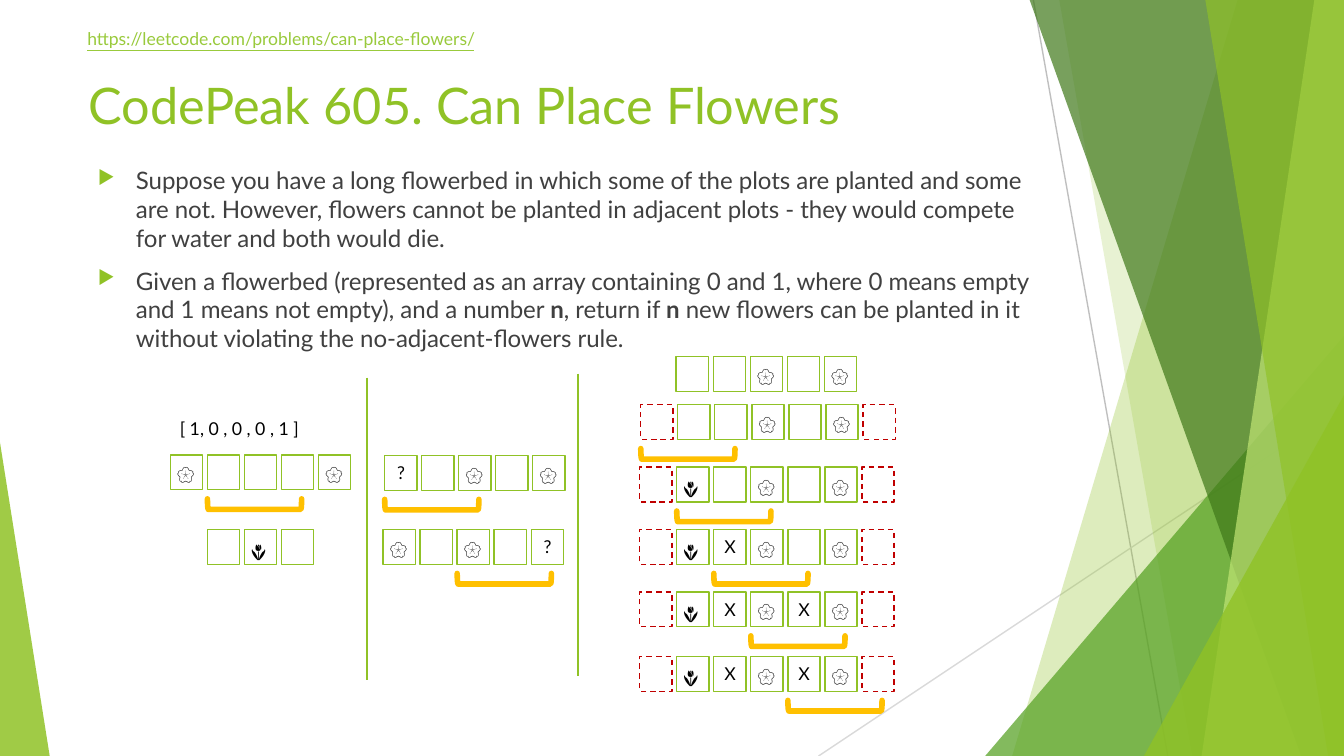
from lxml import etree
from pptx import Presentation
from pptx.dml.color import RGBColor
from pptx.enum import dml, shapes, text
from pptx.oxml import ns
from pptx.util import Cm, Pt

FONT = "Lato"
COLORS = {
    "green": "90C226", "mid green": "54A021", "dark green": "3F7819",
    "pale green": "C0E474", "link": "99CA3C", "body": "404040",
    "black": "000000", "red": "C00000", "amber": "FFC000",
    "gray": "BFBFBF", "light gray": "D9D9D9",
}
COLORS = {name: RGBColor.from_string(value) for name, value in COLORS.items()}


def add_line(parent, start, end, color, width):
    line = parent.add_connector(shapes.MSO_CONNECTOR.STRAIGHT,
                                *map(Cm, start), *map(Cm, end))
    line.line.color.rgb = COLORS[color]
    line.line.width = Pt(width)
    etree.SubElement(line._element.spPr, ns.qn("a:effectLst"))


def add_text(parent, left, top, width, words, color="black", size=9.5):
    """Add a one-line text box and return its run."""
    box = parent.add_textbox(Cm(left), Cm(top), Cm(width), Cm(0.66))
    box.text_frame.word_wrap = False
    box.text_frame.auto_size = text.MSO_AUTO_SIZE.SHAPE_TO_FIT_TEXT
    run = box.text_frame.paragraphs[0].add_run()
    run.text = words
    run.font.name = FONT
    run.font.size = Pt(size)
    run.font.color.rgb = COLORS[color]
    return run


presentation = Presentation()
presentation.slide_width = Cm(25.4)
presentation.slide_height = Cm(14.29)
slide = presentation.slides.add_slide(presentation.slide_layouts[5])

# Facets along the edges, back to front
RIGHT, BOTTOM = 25.4, 14.29
backdrop = slide.shapes.add_group_shape().shapes
add_line(backdrop, (19.53, 0), (22.07, BOTTOM), "gray", 0.75)
add_line(backdrop, (RIGHT, 7.67), (15.47, BOTTOM), "light gray", 0.75)
# A band is (top x, bottom x); a triangle is (left, top, width, apex)
facets = [
    ((23.39, 19.13), "green", 30),
    ((20.02, 22.53), "green", 20),
    ((18.62, 6.35, 6.78, 1), "mid green", 72),
    ((19.46, 24.59), "dark green", 70),
    ((24.84, 22.71), "pale green", 70),
    ((22.78, 25.1), "green", 65),
    ((21.62, 7.47, 3.78, 1), "green", 80),
    ((0, 8.36, 0.94, 0), "green", 85),
]
for outline, color, opacity in facets:
    if len(outline) == 2:
        top_x, bottom_x = outline
        builder = backdrop.build_freeform(Cm(top_x), 0)
        builder.add_line_segments([(Cm(RIGHT), 0), (Cm(RIGHT), Cm(BOTTOM)),
                                   (Cm(bottom_x), Cm(BOTTOM))])
        facet = builder.convert_to_shape()
    else:
        left, top, width, apex = outline
        facet = backdrop.add_shape(shapes.MSO_SHAPE.ISOSCELES_TRIANGLE, Cm(left),
                                   Cm(top), Cm(width), Cm(BOTTOM - top))
        facet.adjustments[0] = apex
    facet.shadow.inherit = False
    facet.line.fill.background()
    facet.fill.solid()
    facet.fill.fore_color.rgb = COLORS[color]
    tint = facet._element.spPr.find(".//" + ns.qn("a:srgbClr"))
    etree.SubElement(tint, ns.qn("a:alpha"), val=str(opacity * 1000))

# Title
title = slide.shapes.title
title.left, title.top, title.width, title.height = map(Cm, (1.42, 1.27, 17.91, 2.74))
title.text_frame.vertical_anchor = text.MSO_ANCHOR.TOP
title.text_frame.auto_size = text.MSO_AUTO_SIZE.NONE
paragraph = title.text_frame.paragraphs[0]
paragraph.alignment = text.PP_ALIGN.LEFT
run = paragraph.add_run()
run.text = "CodePeak 605. Can Place Flowers"
run.font.name = FONT
run.font.size = Pt(27)
run.font.color.rgb = COLORS["green"]

# Problem statement: (words, bold) runs for each bullet
statement = [
    [("Suppose you have a long flowerbed in which some of the plots are planted and "
      "some are not. However, flowers cannot be planted in adjacent plots - they "
      "would compete for water and both would die.", False)],
    [("Given a flowerbed (represented as an array containing 0 and 1, where 0 means "
      "empty and 1 means not empty), and a number ", False),
     ("n", True), (", return if ", False), ("n", True),
     (" new flowers can be planted in it without violating the "
      "no-adjacent-flowers rule.", False)],
]
body = slide.shapes.add_textbox(Cm(1.6), Cm(3), Cm(18.26), Cm(3.66)).text_frame
body.word_wrap = True
for index, runs in enumerate(statement):
    paragraph = body.add_paragraph() if index else body.paragraphs[0]
    properties = paragraph._p.get_or_add_pPr()
    properties.set("marL", str(Cm(0.72)))
    properties.set("indent", str(Cm(-0.72)))
    bullet_color = etree.SubElement(properties, ns.qn("a:buClr"))
    etree.SubElement(bullet_color, ns.qn("a:srgbClr"), val=str(COLORS["green"]))
    etree.SubElement(properties, ns.qn("a:buSzPct"), val="80000")
    etree.SubElement(properties, ns.qn("a:buChar"), char="▶")
    paragraph.space_before = Pt(7.5 if index else 0)
    for words, bold in runs:
        run = paragraph.add_run()
        run.text = words
        run.font.name = FONT
        run.font.size = Pt(12.9)
        run.font.bold = bold
        run.font.color.rgb = COLORS["body"]

add_line(slide.shapes, (6.93, 7.14), (6.93, 12.85), "green", 1)
add_line(slide.shapes, (10.92, 7.06), (10.92, 12.78), "green", 1)

# Flowerbeds: left, top, plots (# is a padding plot), first plot of the bracket
CELL_WIDTH, CELL_HEIGHT, PITCH = 0.61, 0.66, 0.7
BRACKET_LENGTH, BRACKET_DEPTH, BRACKET_DROP = 1.78, 0.2, 0.93
marks = {"F": ("🌸", 0.86, 0.03), "T": ("🌷", 0.86, 0.06),
         "X": ("X", 0.71, 0), "?": ("?", 0.64, 0)}
flowerbeds = [
    (12.11, 7.65, "#..F.F#", 0),
    (12.09, 8.83, "#T.F.F#", 1),
    (12.09, 10.01, "#TXF.F#", 2),
    (12.09, 11.19, "#TXFXF#", 3),
    (12.09, 12.41, "#TXFXF#", 4),
    (12.78, 6.74, "..F.F", None),
    (3.92, 10.01, ".T.", None),
    (7.27, 8.61, "?.F.F", 0),
    (7.24, 10.01, "F.F.?", 2),
    (3.22, 8.6, "F...F", 1),
]
for left, top, plots, bracket_start in flowerbeds:
    bed = slide.shapes.add_group_shape().shapes
    for column, plot in enumerate(plots):
        x = left + column * PITCH
        cell = bed.add_shape(shapes.MSO_SHAPE.RECTANGLE, Cm(x), Cm(top),
                             Cm(CELL_WIDTH), Cm(CELL_HEIGHT))
        cell.shadow.inherit = False
        cell.fill.background()
        cell.line.width = Pt(0.75)
        cell.line.color.rgb = COLORS["red" if plot == "#" else "green"]
        if plot == "#":
            cell.line.dash_style = dml.MSO_LINE.DASH
        if plot in marks:
            symbol, width, drop = marks[plot]
            add_text(bed, x + (CELL_WIDTH - width) / 2, top + drop, width, symbol)
    if bracket_start is not None:
        center = left + bracket_start * PITCH + BRACKET_LENGTH / 2
        bracket = bed.add_shape(
            shapes.MSO_SHAPE.RIGHT_BRACKET, Cm(center - BRACKET_DEPTH / 2),
            Cm(top + BRACKET_DROP - BRACKET_LENGTH / 2),
            Cm(BRACKET_DEPTH), Cm(BRACKET_LENGTH))
        bracket.rotation = 90
        bracket.shadow.inherit = False
        bracket.fill.background()
        bracket.line.color.rgb = COLORS["amber"]
        bracket.line.width = Pt(3)
        bracket._element.spPr.find(ns.qn("a:ln")).set("cap", "rnd")

add_text(slide.shapes, 3.15, 7.77, 3.07, "[ 1, 0 , 0 , 0 , 1 ]")
link = add_text(slide.shapes, 1.4, 0.41, 8.43,
                "https://leetcode.com/problems/can-place-flowers/", "link", 9.4)
link.font.underline = True

presentation.save("out.pptx")
